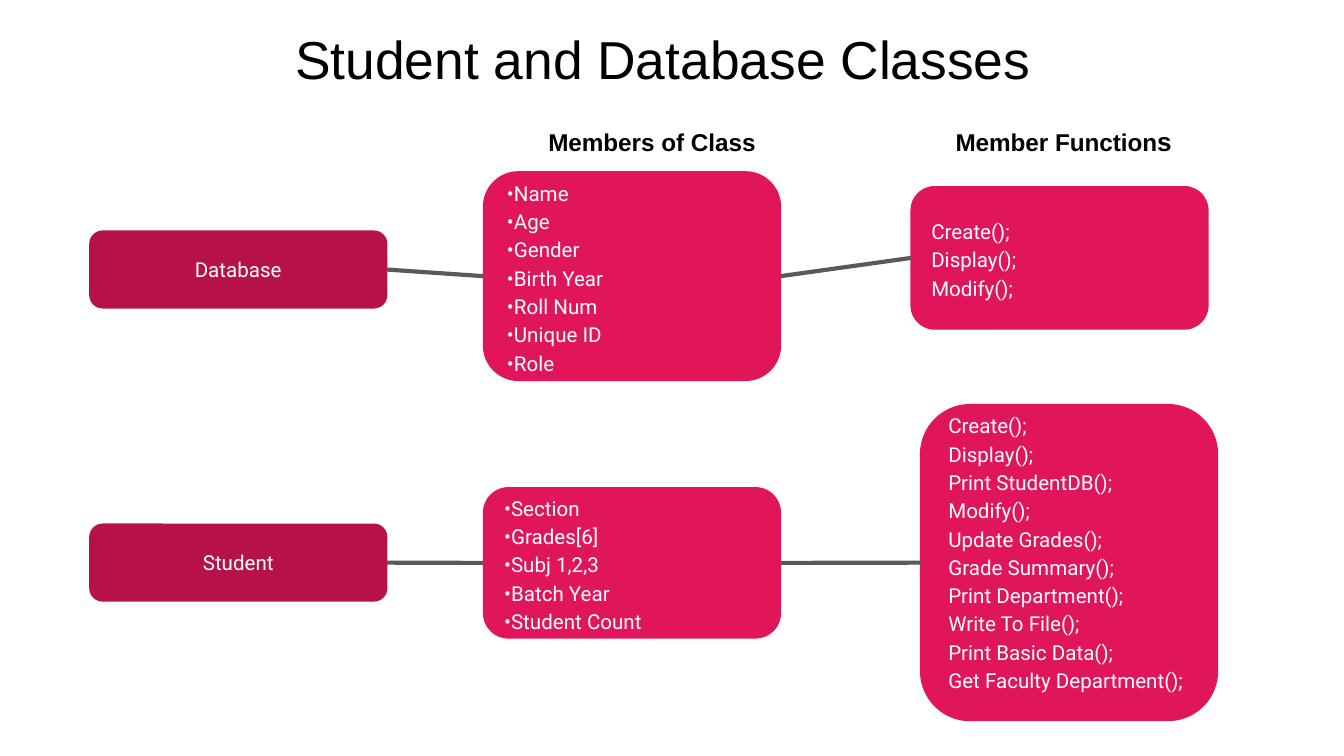
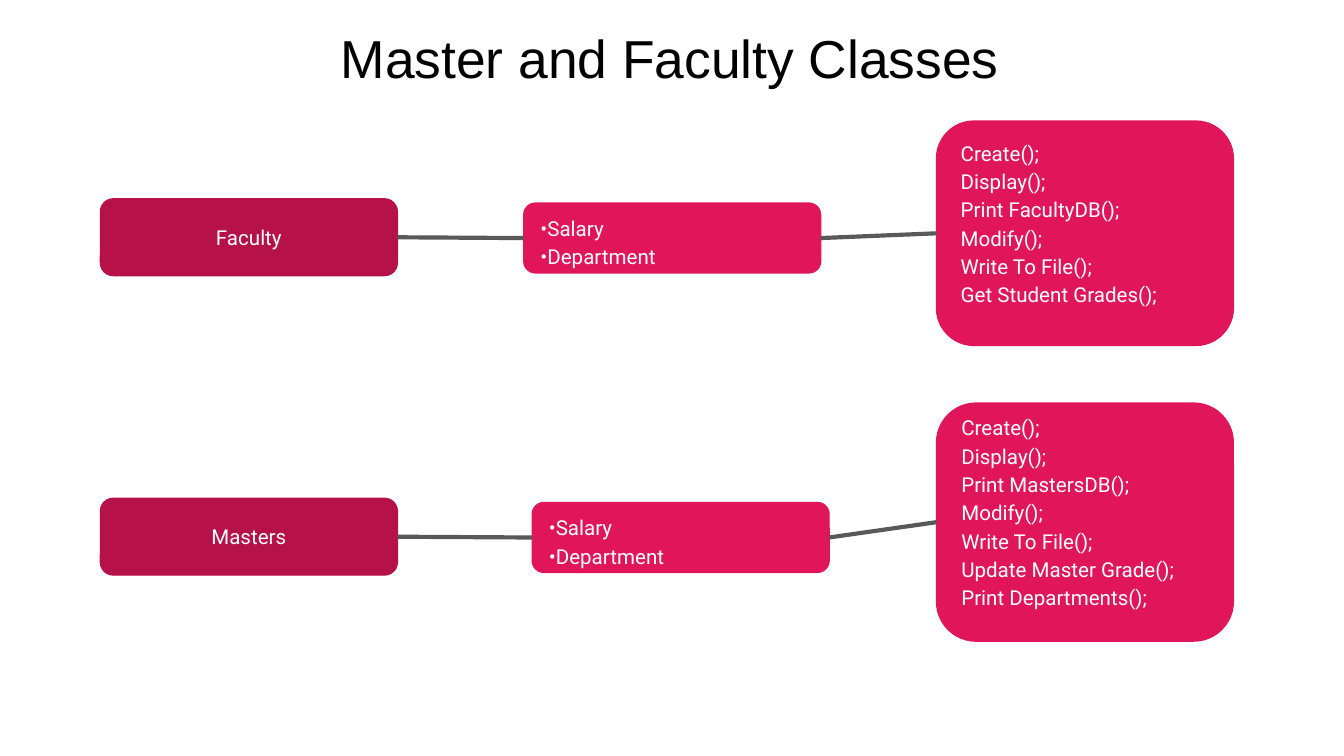
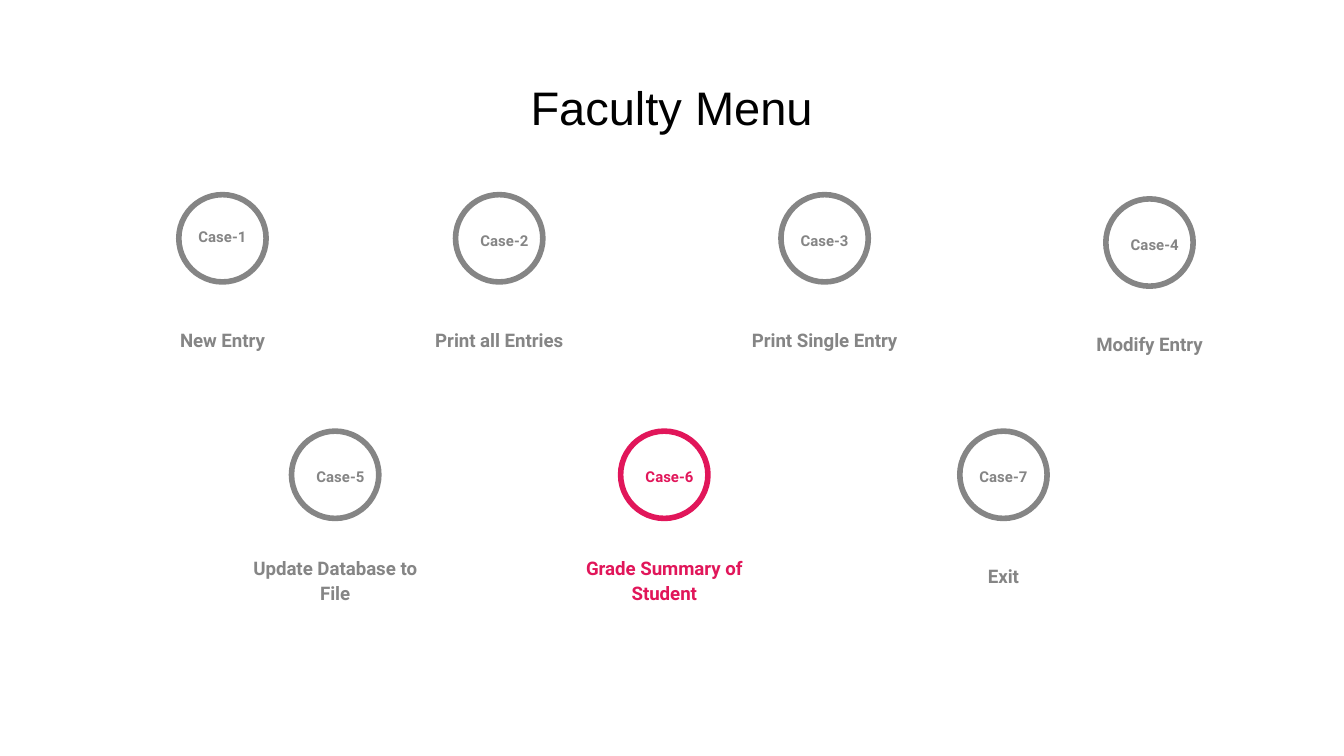
from collections import namedtuple

from lxml.etree import SubElement
from pptx import Presentation
from pptx.dml.color import RGBColor
from pptx.enum.shapes import MSO_CONNECTOR, MSO_SHAPE
from pptx.enum.text import MSO_ANCHOR as Anchor, PP_ALIGN as Align
from pptx.oxml.ns import qn
from pptx.util import Cm, Pt

CRIMSON = RGBColor(0xB6, 0x12, 0x49)
PINK = RGBColor(0xE1, 0x16, 0x5A)
DARK_GRAY = RGBColor(0x59, 0x59, 0x59)
GRAY = RGBColor(0x85, 0x85, 0x85)
BLACK = RGBColor(0, 0, 0)
WHITE = RGBColor(0xFF, 0xFF, 0xFF)

HEADING_FONT = "Arial"
BODY_FONT = "Roboto"

INSET = 0.25
BOX_WIDTH = 5.61
CLASS_HEIGHT = 1.45
ONE_LINE_LIFT = 0.43
CIRCLE_SIZE = 1.65
LABEL_WIDTH = 1.42
CAPTION_WIDTH = 3.78

# lift raises the lines above the middle of the box by half its value
Box = namedtuple("Box", "left top height lines lift", defaults=[0])
Case = namedtuple(
    "Case",
    "left top caption color caption_drop label_shift label_drop",
    defaults=[GRAY, 1.96, 0, 0.45],
)

STUDENT_ROWS = [
    (
        Box(1.7, 4.37, CLASS_HEIGHT, ["Database"]),
        Box(9.14, 3.25, 3.94, ["•Name", "•Age", "•Gender", "•Birth Year",
                               "•Roll Num", "•Unique ID", "•Role"]),
        Box(17.22, 3.53, 2.69, ["Create();", "Display();", "Modify();"]),
    ),
    (
        Box(1.7, 9.91, CLASS_HEIGHT, ["Student"]),
        Box(9.14, 9.22, 2.84, ["•Section", "•Grades[6]", "•Subj 1,2,3",
                               "•Batch Year", "•Student Count"]),
        Box(17.4, 7.65, 5.97,
            ["Create();", "Display();", "Print StudentDB();", "Modify();",
             "Update Grades();", "Grade Summary();", "Print Department();",
             "Write To File();", "Print Basic Data();",
             "Get Faculty Department();"], ONE_LINE_LIFT),
    ),
]

STAFF_MEMBERS = ["•Salary", "•Department"]
FACULTY_ROWS = [
    (
        Box(1.9, 3.76, CLASS_HEIGHT, ["Faculty"]),
        Box(9.9, 3.84, 1.32, STAFF_MEMBERS, -0.1),
        Box(17.7, 2.29, 4.24,
            ["Create();", "Display();", "Print FacultyDB();", "Modify();",
             "Write To File();", "Get Student Grades();"], ONE_LINE_LIFT),
    ),
    (
        Box(1.9, 9.42, CLASS_HEIGHT, ["Masters"]),
        Box(10.06, 9.5, 1.32, STAFF_MEMBERS, -0.1),
        Box(17.7, 7.62, 4.5,
            ["Create();", "Display();", "Print MastersDB();", "Modify();",
             "Write To File();", "Update Master Grade();",
             "Print Departments();"], ONE_LINE_LIFT),
    ),
]

CASES = [
    Case(3.38, 3.68, "New Entry", label_drop=0.38),
    Case(8.61, 3.68, "Print all Entries", label_shift=0.1),
    Case(14.76, 3.68, "Print Single Entry"),
    Case(20.9, 3.76, "Modify Entry", label_shift=0.1),
    Case(5.51, 8.15, "Update Database to File", caption_drop=2.29,
         label_shift=0.1),
    Case(11.73, 8.15, "Grade Summary of Student", PINK, 2.29, 0.1),
    Case(18.14, 8.15, "Exit"),
]


def style_font(font, name, size, color, bold=False):
    font.name = name
    font.size = Pt(size)
    font.color.rgb = color
    font.bold = bold


def write_lines(shape, lines, style, align, spacing=1.0, anchor=Anchor.TOP,
                side_inset=INSET, lift=0):
    frame = shape.text_frame
    frame.word_wrap = True
    frame.vertical_anchor = anchor
    frame.margin_left = frame.margin_right = Cm(side_inset)
    frame.margin_top = Cm(INSET)
    frame.margin_bottom = Cm(INSET + lift)
    frame.text = "\n".join(lines)
    for paragraph in frame.paragraphs:
        paragraph.alignment = align
        paragraph.line_spacing = spacing
        for run in paragraph.runs:
            style_font(run.font, *style)


def add_text(shapes, left, top, width, height, text, style,
             align=Align.CENTER, **options):
    box = shapes.add_textbox(Cm(left), Cm(top), Cm(width), Cm(height))
    write_lines(box, [text], style, align, **options)
    return box


def add_title(slide, text, left, top, size=28.6):
    add_text(slide.shapes, left, top, 23.67, 1.6, text,
             (HEADING_FONT, size, BLACK))


def add_box(slide, box, color, align, spacing):
    shape = slide.shapes.add_shape(
        MSO_SHAPE.ROUNDED_RECTANGLE,
        Cm(box.left), Cm(box.top), Cm(BOX_WIDTH), Cm(box.height))
    shape.shadow.inherit = False
    shape.fill.solid()
    shape.fill.fore_color.rgb = color
    shape.line.color.rgb = color
    shape.line.width = Pt(0.75)
    write_lines(shape, box.lines, (BODY_FONT, 11, WHITE), align, spacing,
                Anchor.MIDDLE, lift=box.lift)
    return shape


def join(slide, left_shape, right_shape):
    """Draw a line from the right side of one shape to the left of the next."""
    line = slide.shapes.add_connector(MSO_CONNECTOR.STRAIGHT, 0, 0, 0, 0)
    line.begin_connect(left_shape, 3)
    line.end_connect(right_shape, 1)
    line.line.color.rgb = DARK_GRAY
    line.line.width = Pt(2.25)
    SubElement(line._element.spPr, qn("a:effectLst"))


def add_class_row(slide, class_box, members, functions):
    name_shape = add_box(slide, class_box, CRIMSON, Align.CENTER, 1.0)
    member_shape = add_box(slide, members, PINK, Align.LEFT, 1.15)
    function_shape = add_box(slide, functions, PINK, Align.LEFT, 1.15)
    join(slide, name_shape, member_shape)
    join(slide, member_shape, function_shape)


def add_column_headings(slide):
    style = (HEADING_FONT, 13, BLACK, True)
    members = add_text(slide.shapes, 10.01, 2.16, 4.62, 1.07,
                       "Members of Class", style)
    members.fill.solid()
    members.fill.fore_color.rgb = WHITE
    functions = add_text(slide.shapes, 17.81, 2.13, 4.78, 1.12,
                         "Member Function", style, Align.LEFT)
    plural = functions.text_frame.paragraphs[0].add_run()
    plural.text = "s"
    style_font(plural.font, HEADING_FONT, 14, BLACK, True)


def add_case(slide, number, case):
    shapes = slide.shapes.add_group_shape().shapes
    circle = shapes.add_shape(MSO_SHAPE.OVAL, Cm(case.left), Cm(case.top),
                              Cm(CIRCLE_SIZE), Cm(CIRCLE_SIZE))
    circle.shadow.inherit = False
    circle.fill.background()
    circle.line.color.rgb = case.color
    circle.line.width = Pt(3)

    center = case.left + CIRCLE_SIZE / 2
    add_text(shapes, center - CAPTION_WIDTH / 2, case.top + case.caption_drop,
             CAPTION_WIDTH, 1.24, case.caption,
             (BODY_FONT, 10, case.color, True),
             spacing=1.15, anchor=Anchor.BOTTOM)
    add_text(shapes, center - LABEL_WIDTH / 2 + case.label_shift,
             case.top + case.label_drop, LABEL_WIDTH, 0.89, f"Case-{number}",
             (BODY_FONT, 8, case.color, True), spacing=1.15, side_inset=0)


def main():
    presentation = Presentation()
    presentation.slide_width = Cm(25.4)
    presentation.slide_height = Cm(14.29)
    blank = presentation.slide_layouts[6]

    slide = presentation.slides.add_slide(blank)
    add_title(slide, "Student and Database Classes", 0.69, 0.25)
    add_column_headings(slide)
    for row in STUDENT_ROWS:
        add_class_row(slide, *row)

    slide = presentation.slides.add_slide(blank)
    add_title(slide, "Master and Faculty Classes", 0.82, 0.23)
    for row in FACULTY_ROWS:
        add_class_row(slide, *row)

    slide = presentation.slides.add_slide(blank)
    add_title(slide, "Faculty Menu", 0.86, 1.24, 25.2)
    for number, case in enumerate(CASES, 1):
        add_case(slide, number, case)

    presentation.save("out.pptx")


if __name__ == "__main__":
    main()
